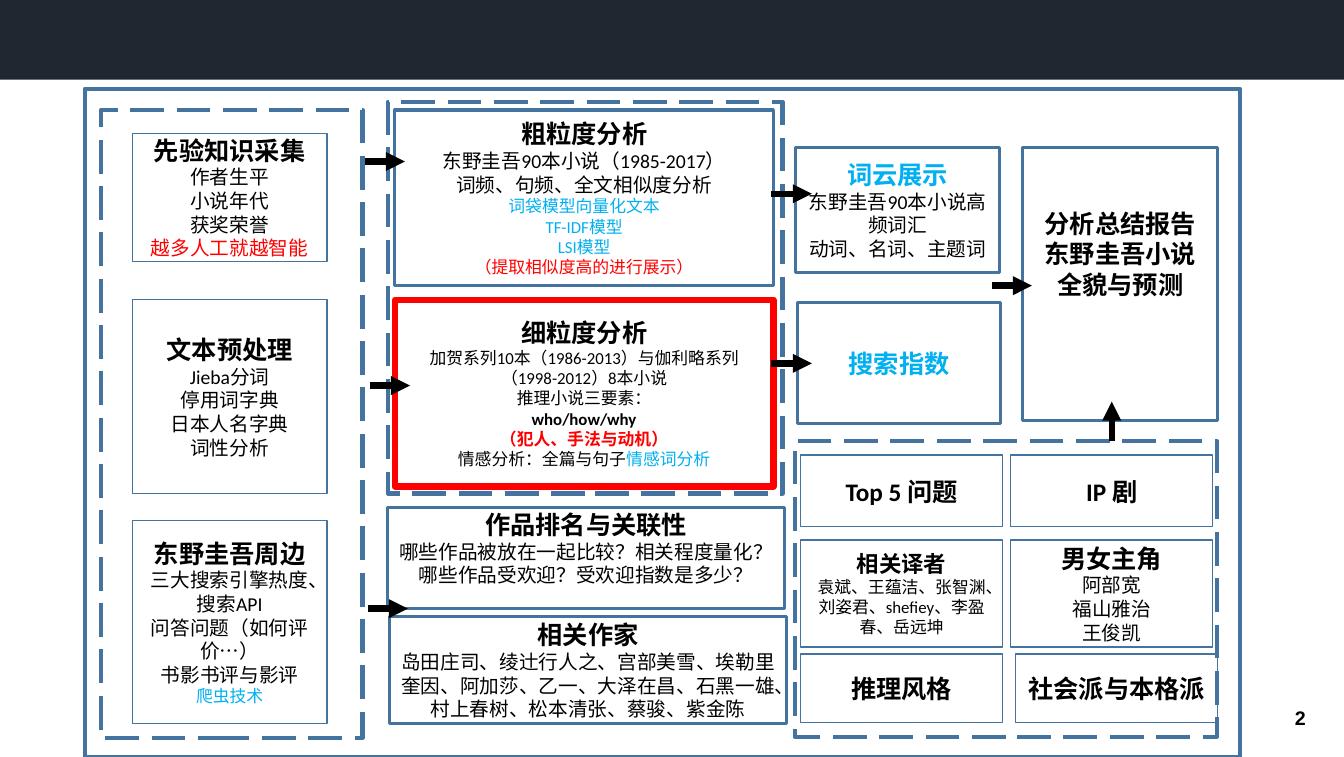
import pptx
import pptx.util
import pptx.dml.color
import pptx.enum.dml
import pptx.enum.shapes
import pptx.enum.text
import pptx.oxml.ns
import lxml.etree
from dataclasses import dataclass

Inches, Pt = pptx.util.Inches, pptx.util.Pt
ALIGN = pptx.enum.text.PP_ALIGN
RECT = pptx.enum.shapes.MSO_SHAPE.RECTANGLE


@dataclass(frozen=True)
class Theme:
    bar: str = "202731"
    edge: str = "43739E"
    ink: str = "000000"
    red: str = "FF0000"
    sky: str = "00B0F0"
    font: str = "Calibri"
    head: int = 18
    mid: int = 16
    body: int = 14
    small: int = 12
    thin: float = 1
    firm: float = 2.25
    wide: float = 3
    bold: float = 4.5


T = Theme()


def rgb(code):
    return pptx.dml.color.RGBColor.from_string(code)


def write(para, text, size=T.body, color=T.ink, bold=False, font=T.font, align=ALIGN.CENTER):
    para.alignment = align
    run = para.add_run()
    run.text = text
    run.font.size, run.font.bold, run.font.name = Pt(size), bold, font
    run.font.color.rgb = rgb(color)


def rect(slide, box, edge=T.edge, width=T.thin, fill=None, dash=False):
    shape = slide.shapes.add_shape(RECT, *map(Inches, box))
    shape.shadow.inherit = False
    if fill:
        shape.fill.solid()
        shape.fill.fore_color.rgb = rgb(fill)
        shape.line.fill.background()
        return shape
    shape.fill.background()
    shape.line.color.rgb = rgb(edge)
    shape.line.width = Pt(width)
    if dash:
        shape.line.dash_style = pptx.enum.dml.MSO_LINE.LONG_DASH
    return shape


def card(slide, box, title, *lines, size=T.head, color=T.ink, lift=0.05, **style):
    """Each line is a list of (text, format) runs; lift is the bottom inset."""
    frame = rect(slide, box, **style).text_frame
    frame.word_wrap = True
    frame.vertical_anchor = pptx.enum.text.MSO_ANCHOR.MIDDLE
    frame.margin_bottom = Inches(lift)
    write(frame.paragraphs[0], title, size=size, color=color, bold=True)
    for line in lines:
        para = frame.add_paragraph()
        for text, form in line:
            write(para, text, **form)


def rows(*texts, **form):
    return [[(text, form)] for text in texts]


def arrow(slide, start, end):
    line = slide.shapes.add_connector(
        pptx.enum.shapes.MSO_CONNECTOR.STRAIGHT, *map(Inches, start + end))
    line.line.color.rgb = rgb(T.ink)
    line.line.width = Pt(T.bold)
    qn = pptx.oxml.ns.qn
    lxml.etree.SubElement(line.line._get_or_add_ln(), qn("a:tailEnd"), type="triangle")
    lxml.etree.SubElement(line._element.spPr, qn("a:effectLst"))


# Left column: what is gathered
def inputs(slide, box):
    x, y, w, h = box
    left, wide = x + 0.31, 1.93
    card(slide, (left, y + 0.23, wide, 1.27), "先验知识采集",
         *rows("作者生平", "小说年代", "获奖荣誉"),
         *rows("越多人工就越智能", color=T.red))
    card(slide, (left, y + 1.88, wide, 1.92), "文本预处理",
         *rows("Jieba分词", "停用词字典", "日本人名字典", "词性分析"))
    card(slide, (left, y + 4.07, wide, 2.01), "东野圭吾周边",
         *rows("三大搜索引擎热度、搜索API", "问答问题（如何评价…）", "书影书评与影评"),
         *rows("爬虫技术", size=T.small, color=T.sky))
    rect(slide, box, width=T.wide, dash=True)


# Middle column, top: coarse and fine analysis
def grains(slide, box):
    x, y, w, h = box
    left, wide = x + 0.07, 3.75
    card(slide, (left, y + 0.08, wide, 1.74), "粗粒度分析",
         *rows("东野圭吾90本小说（1985-2017）", "词频、句频、全文相似度分析"),
         *rows("词袋模型向量化文本", "TF-IDF模型", "LSI模型", size=T.small, color=T.sky),
         *rows("（提取相似度高的进行展示）", size=T.small, color=T.red),
         width=T.firm)
    small = dict(size=T.small)
    card(slide, (left, y + 1.96, wide, 1.85), "细粒度分析",
         *rows("加贺系列10本（1986-2013）与伽利略系列（1998-2012）8本小说",
               "推理小说三要素：", **small),
         *rows("who/how/why", bold=True, **small),
         *rows("（犯人、手法与动机）", bold=True, color=T.red, **small),
         [("情感分析：全篇与句子", small), ("情感词分析", dict(color=T.sky, **small))],
         edge=T.red, width=T.bold)
    rect(slide, box, width=T.wide, dash=True)


# Middle column, bottom: rankings and writers
def links(slide, box):
    x, y, w, h = box
    card(slide, (x, y, w, 1), "作品排名与关联性",
         *rows("哪些作品被放在一起比较？相关程度量化？", "哪些作品受欢迎？受欢迎指数是多少？"),
         width=T.firm, lift=0.25)
    card(slide, (x + 0.02, y + 1.08, w, h - 1.08), "相关作家",
         *rows("岛田庄司、绫辻行人之、宫部美雪、埃勒里奎因、阿加莎、乙一、大泽在昌、"
               "石黑一雄、村上春树、松本清张、蔡骏、紫金陈"),
         width=T.firm)


# Right column, top: results and report
def results(slide, box):
    x, y, w, h = box
    card(slide, (x, y, 2.02, 1.24), "词云展示",
         *rows("东野圭吾90本小说高频词汇", "动词、名词、主题词"),
         color=T.sky, width=T.firm)
    card(slide, (x + 0.02, y + 1.54, 2.01, 1.2), "搜索指数", color=T.sky, width=T.firm)
    card(slide, (x + 2.25, y, 1.93, 2.71), "分析总结报告",
         *rows("东野圭吾小说全貌与预测", size=T.head, bold=True),
         width=T.firm, lift=0.65)


# Right column, bottom: grid of related topics
def topics(slide, box):
    x, y, w, h = box
    grid = [
        (0.14, 0.71, [("Top 5 问题", T.head, []), ("IP 剧", T.head, [])]),
        (0.98, 1.06, [
            ("相关译者", T.mid,
             rows("袁斌、王蕴洁、张智渊、刘姿君、shefiey、李盈春、岳远坤", size=T.small)),
            ("男女主角", T.head, rows("阿部宽", "福山雅治", "王俊凯"))]),
        (2.11, 0.68, [("推理风格", T.head, []), ("社会派与本格派", T.head, [])]),
    ]
    for row, (top, tall, cells) in enumerate(grid):
        gap = 2.13 if row == 2 else 2.08
        for col, (title, size, lines) in enumerate(cells):
            card(slide, (x + 0.06 + col * gap, y + top, 2, tall), title, *lines, size=size)
    rect(slide, box, width=T.wide, dash=True)


# Arrows between the regions
def flow(slide):
    for x, y in [(3.61, 1.6), (3.66, 3.82), (3.64, 6.03),
                 (7.64, 1.92), (7.64, 3.6), (9.82, 2.83)]:
        arrow(slide, (x, y), (x + 0.4, y))
    arrow(slide, (11.01, 4.37), (11.01, 3.98))


# Page number
def number(slide, box):
    frame = slide.shapes.add_textbox(*map(Inches, box)).text_frame
    frame.word_wrap = True
    frame.vertical_anchor = pptx.enum.text.MSO_ANCHOR.MIDDLE
    write(frame.paragraphs[0], "2", bold=True, font="Arial", align=ALIGN.RIGHT)


def main():
    deck = pptx.Presentation()
    deck.slide_width, deck.slide_height = Inches(13.31), Inches(7.5)
    slide = deck.slides.add_slide(deck.slide_layouts[6])
    rect(slide, (0, 0, 13.31, 0.79), fill=T.bar)
    number(slide, (11.48, 6.93, 1.55, 0.36))
    rect(slide, (0.84, 0.88, 11.44, 6.62), width=T.wide)
    inputs(slide, (1, 1.09, 2.59, 6.22))
    grains(slide, (3.84, 1.01, 3.91, 3.88))
    links(slide, (3.84, 5.03, 3.93, 2.14))
    results(slide, (7.88, 1.46, 4.18, 2.74))
    topics(slide, (7.87, 4.37, 4.18, 2.93))
    flow(slide)
    deck.save("out.pptx")


if __name__ == "__main__":
    main()
